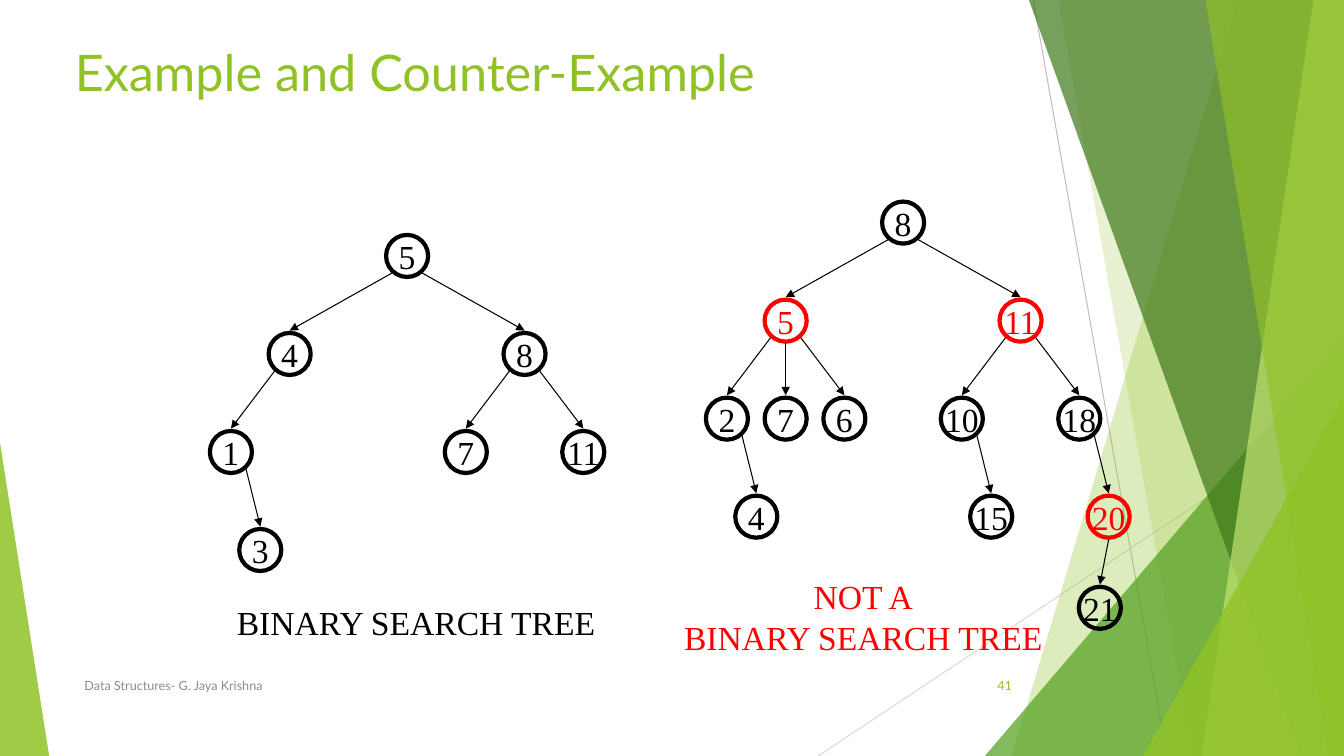
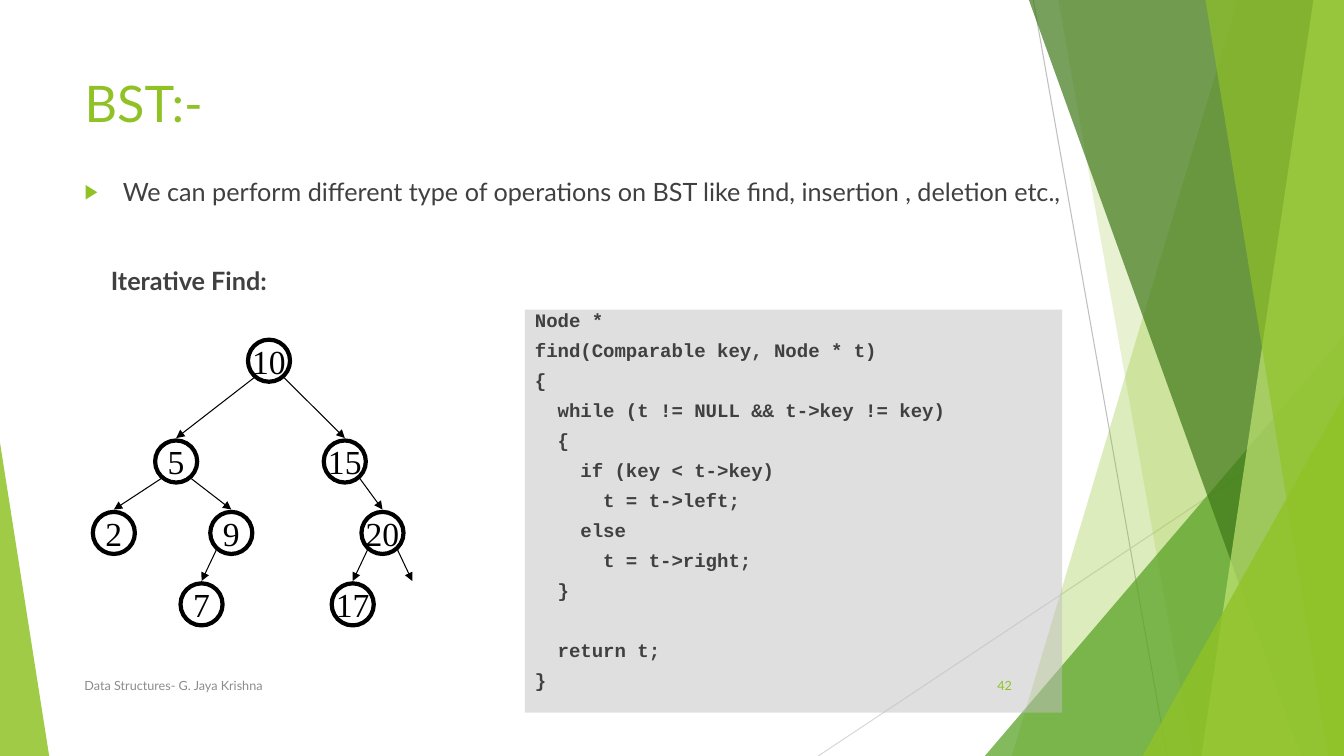
from lxml.etree import SubElement
from pptx import Presentation
from pptx.dml.color import RGBColor
from pptx.enum.shapes import MSO_CONNECTOR, MSO_SHAPE
from pptx.enum.text import MSO_ANCHOR, MSO_AUTO_SIZE, PP_ALIGN
from pptx.oxml.ns import qn
from pptx.util import Cm, Pt

WIDTH, HEIGHT = 33.87, 19.05
GREEN, FOREST, MOSS, LIME = "90C226", "54A021", "3F7819", "C0E474"
BLACK, RED, TEXT, MUTED, SILVER = "000000", "FF0000", "404040", "8C8C8C", "C0C0C0"
SANS, SERIF, MONO = "Lato", "Times New Roman", "Courier New"
NODE_SIZE = 1.06
FOOTER = "Data Structures- G. Jaya Krishna"

SEARCH_TREE = [
    ("5", 0, 0, None), ("4", -4, 1, "5"), ("8", 4, 1, "5"),
    ("1", -6, 2, "4"), ("7", 2, 2, "8"), ("11", 6, 2, "8"), ("3", -5, 3, "1"),
]
OTHER_TREE = [
    ("8", 0, 0, None), ("5", -4, 1, "8"), ("11", 4, 1, "8"),
    ("2", -6, 2, "5"), ("7", -4, 2, "5"), ("6", -2, 2, "5"),
    ("10", 2, 2, "11"), ("18", 6, 2, "11"), ("4", -5, 3, "2"),
    ("15", 3, 3, "10"), ("20", 7, 3, "18"), ("21", 6.7, 3.93, "20"),
]
FIND_TREE = [
    ("10", 0, 0, None), ("5", -2.34, 2.54, "10"), ("15", 1.91, 2.54, "10"),
    ("2", -3.91, 4.34, "5"), ("9", -0.95, 4.34, "5"), ("20", 2.86, 4.34, "15"),
    ("7", -1.7, 6.14, "9"), ("17", 2.11, 6.14, "20"), ("", 3.61, 6.14, "20"),
]
FIND_CODE = """Node *
find(Comparable key, Node * t)
{
  while (t != NULL && t->key != key)
  {
    if (key < t->key)
      t = t->left;
    else
      t = t->right;
  }

  return t;
}"""


def rgb(value):
    """Turn a hex string into a colour."""
    return RGBColor.from_string(value)


def style(para, font, size, color, bold=False, align=PP_ALIGN.LEFT):
    """Format the runs of a paragraph."""
    para.alignment = align
    for span in para.runs:
        span.font.name, span.font.size, span.font.bold = font, Pt(size), bold
        span.font.color.rgb = rgb(color)


def fill(shape, color, opacity):
    """Give a shape a plain translucent fill without outline or shadow."""
    shape.shadow.inherit = False
    shape.line.fill.background()
    shape.fill.solid()
    shape.fill.fore_color.rgb = rgb(color)
    tint = shape.fill._xPr.find(qn("a:solidFill"))[0]
    SubElement(tint, qn("a:alpha"), val=str(opacity * 1000))


def add_line(page, start, end, color, arrow=False):
    """Draw a thin straight line, with an arrowhead if asked."""
    points = [Cm(value) for value in (*start, *end)]
    line = page.shapes.add_connector(MSO_CONNECTOR.STRAIGHT, *points)
    line.line.color.rgb = rgb(color)
    line.line.width = Pt(0.75)
    if arrow:
        SubElement(line.line._get_or_add_ln(), qn("a:tailEnd"), type="triangle")
    SubElement(line._element.spPr, qn("a:effectLst"))


def add_band(page, top_x, bottom_x, color, opacity):
    """Draw a slanted band that reaches to the right edge."""
    builder = page.shapes.build_freeform(Cm(top_x), 0)
    corners = [(WIDTH, 0), (WIDTH, HEIGHT), (bottom_x, HEIGHT)]
    builder.add_line_segments([(Cm(x), Cm(y)) for x, y in corners])
    fill(builder.convert_to_shape(), color, opacity)


def add_corner(page, left, right, top, apex, color, opacity):
    """Draw a right-angled triangle standing on the bottom edge."""
    corner = page.shapes.add_shape(
        MSO_SHAPE.ISOSCELES_TRIANGLE, Cm(left), Cm(top), Cm(right - left), Cm(HEIGHT - top))
    corner.adjustments[0] = apex
    fill(corner, color, opacity)


def add_backdrop(deck, page):
    """Draw the facets and move them to the slide master."""
    existing = set(page.shapes._spTree)
    add_line(page, (26.04, 0), (29.41, HEIGHT), "BFBFBF")
    add_line(page, (WIDTH, 10.24), (20.62, HEIGHT), "D9D9D9")
    add_band(page, 31.19, 25.5, GREEN, 30)
    add_band(page, 26.67, 30.05, GREEN, 20)
    add_corner(page, 24.82, WIDTH, 8.46, 1, FOREST, 72)
    add_band(page, 25.93, 32.79, MOSS, 70)
    add_band(page, 33.1, 30.28, LIME, 70)
    add_band(page, 30.38, 33.48, GREEN, 65)
    add_corner(page, 28.8, WIDTH, 9.98, 1, GREEN, 80)
    add_corner(page, 0, 1.24, 11.15, 0, GREEN, 85)
    facets = [item for item in page.shapes._spTree if item not in existing]
    for number, facet in enumerate(facets, 100):
        facet.xpath(".//p:cNvPr")[0].set("id", str(number))
        deck.slide_master.shapes._spTree.append(facet)


def place(shape, left, top, width, height):
    """Move and size a placeholder whose text starts at the top."""
    shape.left, shape.top, shape.width, shape.height = map(Cm, (left, top, width, height))
    frame = shape.text_frame
    frame.word_wrap, frame.auto_size = True, MSO_AUTO_SIZE.NONE
    frame.vertical_anchor = MSO_ANCHOR.TOP


def add_title(page, text, *area):
    """Fill the title placeholder."""
    place(page.shapes.title, *area)
    page.shapes.title.text_frame.text = text
    style(page.shapes.title.text_frame.paragraphs[0], SANS, 36, GREEN)


def add_text(page, area, text, font, size, color, align=PP_ALIGN.LEFT, wrap=False,
             anchor=MSO_ANCHOR.TOP):
    """Add a text box with one style throughout."""
    box = page.shapes.add_textbox(*map(Cm, area))
    frame = box.text_frame
    frame.text = text
    frame.word_wrap, frame.vertical_anchor = wrap, anchor
    for para in frame.paragraphs:
        style(para, font, size, color, align=align)


def add_footer(page, number):
    """Add the footer line and the page number."""
    add_text(page, (1.88, 16.78, 17.5, 1.01), FOOTER, SANS, 9, MUTED,
             wrap=True, anchor=MSO_ANCHOR.MIDDLE)
    add_text(page, (23.85, 16.78, 1.9, 1.01), str(number), SANS, 9, GREEN,
             PP_ALIGN.RIGHT, True, MSO_ANCHOR.MIDDLE)


def add_node(page, center, label, color):
    """Draw a ringed key centred on a point."""
    left, top = (Cm(value - NODE_SIZE / 2) for value in center)
    node = page.shapes.add_shape(MSO_SHAPE.OVAL, left, top, Cm(NODE_SIZE), Cm(NODE_SIZE))
    node.shadow.inherit = False
    node.fill.background()
    node.line.color.rgb = rgb(color)
    node.line.width = Pt(3)
    frame = node.text_frame
    frame.text = label
    frame.word_wrap, frame.vertical_anchor = False, MSO_ANCHOR.MIDDLE
    style(frame.paragraphs[0], SERIF, 24, color, align=PP_ALIGN.CENTER)


def add_edge(page, parent, child):
    """Draw an arrow from the lower rim of a parent to the top of a child."""
    shift = child[0] - parent[0]
    if abs(shift) < 0.5:
        start = (parent[0], parent[1] + 0.57)
    else:
        start = (parent[0] + (0.38 if shift > 0 else -0.38), parent[1] + 0.43)
    add_line(page, start, (child[0], child[1] - 0.59), BLACK, arrow=True)


def add_tree(page, root, step, nodes, wrong=()):
    """Draw a tree from (label, column, row, parent) entries."""
    centers = {}
    for label, column, row, parent in nodes:
        center = (root[0] + column * step[0], root[1] + row * step[1])
        centers[label] = center
        if label:
            add_node(page, center, label, RED if label in wrong else BLACK)
        if parent:
            add_edge(page, centers[parent], center)


def add_bullet(para, margin):
    """Hang a green arrow bullet before a paragraph."""
    props = para._p.get_or_add_pPr()
    props.set("marL", str(Cm(margin)))
    props.set("indent", str(-Cm(margin)))
    SubElement(SubElement(props, qn("a:buClr")), qn("a:srgbClr"), val=GREEN)
    SubElement(props, qn("a:buSzPct"), val="80000")
    SubElement(props, qn("a:buChar"), char="▶")


def add_body(page, point, heading):
    """Fill the body placeholder with a bullet and a bold heading."""
    body = page.placeholders[1]
    place(body, 1.88, 4.32, 25.12, 13.34)
    body.text_frame.text = f"{point}\n{heading}"
    first, second = body.text_frame.paragraphs
    add_bullet(first, 0.96)
    first.space_before = Pt(0)
    style(first, SANS, 18, TEXT)
    props = second._p.get_or_add_pPr()
    props.set("marL", str(Cm(0.66)))
    props.set("indent", "0")
    SubElement(props, qn("a:buNone"))
    second.space_before = Pt(42)
    style(second, SANS, 18, TEXT, bold=True)


def add_code(page, area, code):
    """Show code on a grey panel, with a wider gap between its blocks."""
    panel = page.shapes.add_shape(MSO_SHAPE.RECTANGLE, *map(Cm, area))
    fill(panel, SILVER, 50)
    frame = panel.text_frame
    frame.word_wrap, frame.vertical_anchor = True, MSO_ANCHOR.TOP
    blocks = [block.split("\n") for block in code.split("\n\n")]
    gaps = [31.4 if index == 0 else 10 for block in blocks for index in range(len(block))]
    frame.text = "\n".join(line for block in blocks for line in block)
    for para, gap in zip(frame.paragraphs, [0, *gaps[1:]]):
        para.line_spacing = 0.7
        para.space_before = Pt(gap)
        style(para, MONO, 13.6, TEXT, bold=True)


def build_examples(page):
    """Compare a binary search tree with a tree that is not one."""
    add_title(page, "Example and Counter-Example", 1.63, 0.91, 22.43, 3.18)
    add_tree(page, (10.26, 6.45), (0.74, 2.47), SEARCH_TREE)
    add_tree(page, (22.76, 5.61), (0.74, 2.47), OTHER_TREE, ("5", "11", "20"))
    add_text(page, (5.72, 15.04, 9.65, 1.27), "BINARY SEARCH TREE", SERIF, 24, BLACK)
    add_text(page, (16.94, 14.4, 9.63, 2.31), "NOT A\nBINARY SEARCH TREE", SERIF, 24, RED,
             PP_ALIGN.CENTER)
    add_footer(page, 41)


def build_find(page):
    """Show iterative find beside a sample tree."""
    add_title(page, "BST:-", 1.88, 1.7, 23.88, 1.88)
    add_body(page, "We can perform different type of operations on BST like find, "
                   "insertion , deletion etc.,", "Iterative Find:")
    add_tree(page, (6.78, 9.09), (1, 1), FIND_TREE)
    add_code(page, (13.23, 7.8, 13.54, 10.16), FIND_CODE)
    add_footer(page, 42)


def main():
    """Build and save the deck."""
    deck = Presentation()
    deck.slide_width, deck.slide_height = Cm(WIDTH), Cm(HEIGHT)
    examples = deck.slides.add_slide(deck.slide_layouts[5])
    add_backdrop(deck, examples)
    build_examples(examples)
    build_find(deck.slides.add_slide(deck.slide_layouts[1]))
    deck.save("out.pptx")


if __name__ == "__main__":
    main()
